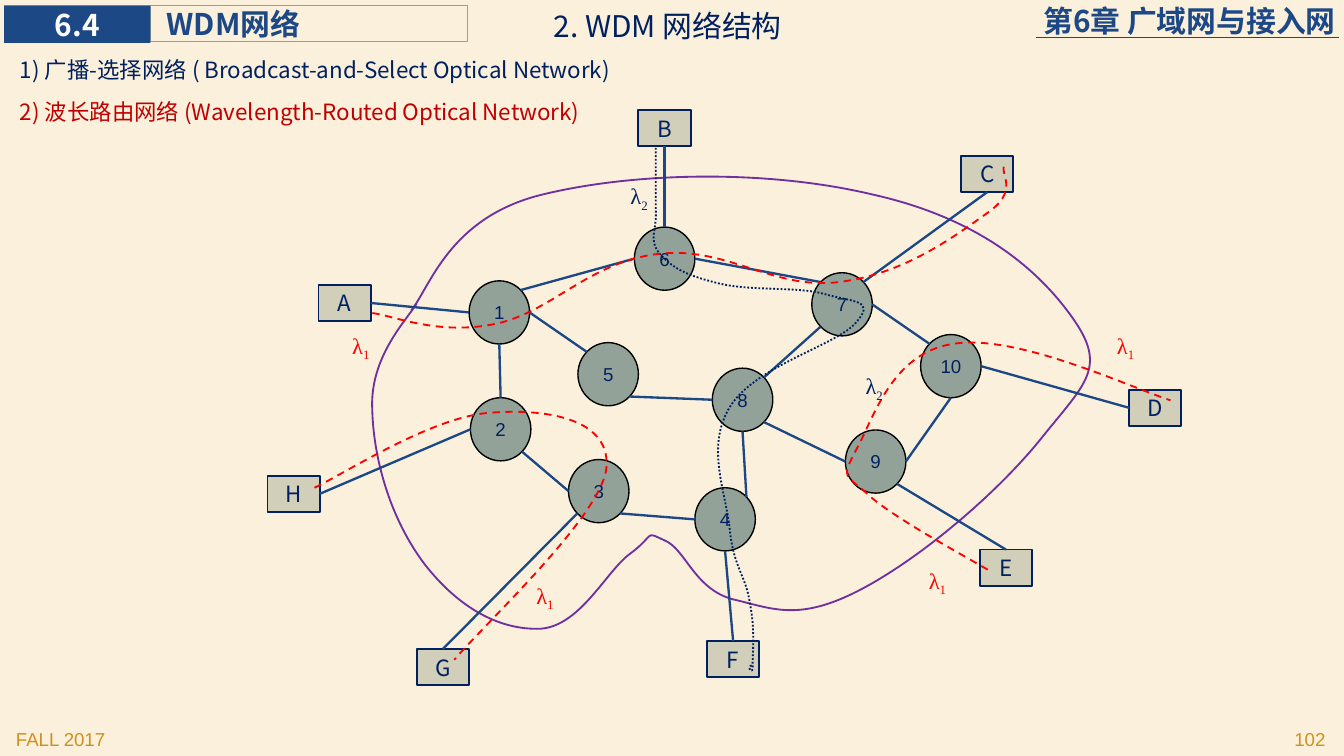
from math import cos, radians, sin

from lxml import etree
from pptx import Presentation
from pptx import util as u
from pptx.dml.color import RGBColor
from pptx.enum import dml, shapes, text
from pptx.oxml import ns

CREAM = RGBColor(0xFA, 0xF0, 0xDB)
WHITE = RGBColor(0xFF, 0xFF, 0xFF)
BLACK = RGBColor(0, 0, 0)
BLUE = RGBColor(0x1C, 0x48, 0x85)
NAVY = RGBColor(0x00, 0x20, 0x60)
SAGE = RGBColor(0x93, 0xA2, 0x99)
SAND = RGBColor(0xD1, 0xCE, 0xB9)
GOLD = RGBColor(0xCD, 0x92, 0x1B)
CRIMSON = RGBColor(0xC0, 0, 0)
RED = RGBColor(0xFF, 0, 0)
PURPLE = RGBColor(0x70, 0x30, 0xA0)

SANS = "Noto Sans CJK SC"
LEFT, MID, RIGHT = text.PP_ALIGN.LEFT, text.PP_ALIGN.CENTER, text.PP_ALIGN.RIGHT
TOP, MIDDLE = text.MSO_ANCHOR.TOP, text.MSO_ANCHOR.MIDDLE
RECT, OVAL = shapes.MSO_SHAPE.RECTANGLE, shapes.MSO_SHAPE.OVAL
DASH, DOT = dml.MSO_LINE.DASH, dml.MSO_LINE.ROUND_DOT
PAD = (0.1, 0.05, 0.1, 0.05)
NONE = (0, 0, 0, 0)

NODE = (0.45, 0.47)
BOX = (0.39, 0.27)
NODES = {"1": (3.49, 2.09), "2": (3.5, 2.96), "3": (4.23, 3.42), "4": (5.17, 3.63),
         "5": (4.3, 2.55), "6": (4.72, 1.69), "7": (6.04, 2.03), "8": (5.3, 2.74),
         "9": (6.29, 3.2), "10": (6.85, 2.49)}
BOXES = {"A": (2.37, 2.12), "B": (4.75, 0.82), "C": (7.15, 1.16), "D": (8.4, 2.9),
         "E": (7.29, 4.09), "F": (5.26, 4.77), "G": (3.1, 4.83), "H": (1.99, 3.54)}
ANGLE = {"E": 0, "SE": 45, "S": 90, "SW": 135, "W": 180, "NW": 225, "N": 270, "NE": 315}

# Node, side, node, side
LINKS = [("1", "S", "2", "N"), ("3", "W", "2", "SE"), ("4", "W", "3", "SE"),
         ("5", "NW", "1", "E"), ("5", "SE", "8", "W"), ("9", "W", "8", "SE"),
         ("9", "E", "10", "S"), ("7", "E", "10", "NW"), ("7", "NW", "6", "E"),
         ("1", "NE", "6", "W"), ("7", "SW", "8", "NE"), ("4", "NE", "8", "S")]
# Node, side, box, connection site of the box
ACCESS = [("3", "SW", "G", 0), ("1", "W", "A", 3), ("2", "W", "H", 3), ("4", "S", "F", 0),
          ("9", "SE", "E", 0), ("10", "E", "D", 1), ("7", "NE", "C", 2), ("6", "N", "B", 2)]

# Start point, then two control points and an end point per segment
CLOUD = [(3.1, 2.26), (3.02, 2.39), (2.75, 2.66), (2.77, 3.05),
         (2.78, 3.43), (2.91, 3.87), (3.16, 4.2), (3.41, 4.52), (3.71, 4.69), (4.02, 4.68),
         (4.32, 4.66), (4.51, 4.25), (4.69, 4.12), (4.88, 3.98), (4.79, 3.95), (4.94, 4.02),
         (5.1, 4.08), (5.16, 4.38), (5.45, 4.46), (5.75, 4.53), (5.94, 4.63), (6.4, 4.39),
         (6.86, 4.15), (7.43, 3.66), (7.75, 3.26), (8.07, 2.86), (8.24, 2.74), (7.99, 2.38),
         (7.74, 2.02), (7.3, 1.63), (6.5, 1.45), (5.71, 1.26), (4.72, 1.28), (4.03, 1.45),
         (3.34, 1.62), (3.2, 2.14), (3.06, 2.31)]
PATH_HG = [(2.34, 3.63), (2.59, 3.51), (3.23, 3.09), (3.67, 3.07),
           (4.1, 3.04), (4.56, 3.13), (4.51, 3.5), (4.45, 3.86), (3.62, 4.63), (3.38, 4.91)]
PATH_BF = [(4.88, 1.1), (4.88, 1.18), (4.88, 1.4), (4.88, 1.56),
           (4.89, 1.72), (4.82, 1.78), (4.91, 1.89), (5.01, 2), (5.11, 2.05), (5.35, 2.11),
           (5.6, 2.17), (5.94, 2.13), (6.14, 2.19), (6.35, 2.25), (6.52, 2.23), (6.37, 2.4),
           (6.23, 2.57), (5.62, 2.72), (5.43, 3.03), (5.25, 3.33), (5.4, 3.65), (5.43, 3.94),
           (5.46, 4.23), (5.55, 4.28), (5.58, 4.49), (5.62, 4.69), (5.6, 4.85), (5.6, 4.95),
           (5.61, 5.04), (5.54, 4.96), (5.6, 4.95)]
PATH_AC = [(2.77, 2.33), (2.93, 2.35), (3.26, 2.5), (3.69, 2.41),
           (4.11, 2.32), (4.38, 1.95), (4.9, 1.89), (5.41, 1.83), (5.75, 2.16), (6.24, 2.1),
           (6.73, 2.04), (7.1, 1.76), (7.34, 1.59), (7.59, 1.42), (7.44, 1.3), (7.47, 1.23)]
PATH_ED = [(7.35, 4.24), (7.18, 4.14), (6.68, 3.87), (6.48, 3.7),
           (6.29, 3.52), (6.25, 3.58), (6.37, 3.35), (6.5, 3.12), (6.63, 2.63), (7.09, 2.56),
           (7.56, 2.48), (8.4, 2.88), (8.71, 2.98)]
ROUTES = [(PATH_HG, RED, DASH), (PATH_BF, NAVY, DOT), (PATH_AC, RED, DASH), (PATH_ED, RED, DASH)]
LAMBDAS = [(3.88, 4.28, "1"), (4.58, 1.31, "2"), (2.51, 2.42, "1"),
           (8.2, 2.42, "1"), (6.8, 4.17, "1"), (6.33, 2.72, "2")]


def size(n):
    """Turn layout units (2.54 cm each) into a length."""
    return u.Cm(n * 2.54)


def write(shape, words, pt=12, face=SANS, color=NAVY, bold=False, align=LEFT,
          anchor=TOP, pad=PAD, wrap=True, sub=""):
    """Fill a shape with one formatted line; sub is a trailing subscript."""
    frame = shape.text_frame
    frame.word_wrap = wrap
    frame.auto_size = text.MSO_AUTO_SIZE.NONE
    frame.vertical_anchor = anchor
    (frame.margin_left, frame.margin_top,
     frame.margin_right, frame.margin_bottom) = map(size, pad)
    par = frame.paragraphs[0]
    par.alignment = align
    for part in filter(None, (words, sub)):
        run = par.add_run()
        run.text = part
        font = run.font
        font.size, font.name, font.bold = u.Pt(pt), face, bold
        font.color.rgb = color
        props = run._r.get_or_add_rPr()
        etree.SubElement(props, ns.qn("a:ea"), typeface=face)
        if part == sub:
            props.set("baseline", "-25000")


def label(slide, spot, words, **form):
    write(slide.shapes.add_textbox(*map(size, spot)), words, **form)


def style(shape, fill, line, width):
    shape.shadow.inherit = False
    if fill is None:
        shape.fill.background()
    else:
        shape.fill.solid()
        shape.fill.fore_color.rgb = fill
    if line is None:
        shape.line.fill.background()
    else:
        shape.line.color.rgb = line
        shape.line.width = u.Pt(width)


def block(slide, kind, spot, words, fill=None, line=None, width=0.75, **form):
    shape = slide.shapes.add_shape(kind, *map(size, spot))
    style(shape, fill, line, width)
    write(shape, words, anchor=MIDDLE, **form)
    return shape


def link(slide, start, end, width=1.25):
    line = slide.shapes.add_connector(shapes.MSO_CONNECTOR.STRAIGHT,
                                      *map(size, (*start, *end)))
    line.line.color.rgb = BLUE
    line.line.width = u.Pt(width)
    etree.SubElement(line._element.spPr, ns.qn("a:effectLst"))
    return line


def rim(node, side):
    """Give the point on a node's circle at a compass side."""
    (x, y), (w, h), turn = NODES[node], NODE, radians(ANGLE[side])
    return x + w / 2 * (1 + cos(turn)), y + h / 2 * (1 + sin(turn))


def curve(slide, points, color, dash=None):
    """Draw an open Bezier curve, making each three line steps one cubic."""
    first, *rest = [(size(x), size(y)) for x, y in points]
    pen = slide.shapes.build_freeform(*first)
    pen.add_line_segments(rest, close=False)
    shape = pen.convert_to_shape()
    style(shape, None, color, 1)
    if dash:
        shape.line.dash_style = dash
    steps = list(shape._element.iter(ns.qn("a:lnTo")))
    for i in range(0, len(steps), 3):
        cubic = etree.SubElement(steps[i].getparent(), ns.qn("a:cubicBezTo"))
        for step in steps[i:i + 3]:
            cubic.append(step[0])
            step.getparent().remove(step)


def header(slide):
    title = slide.shapes.title
    title.left, title.top, title.width, title.height = map(size, (4.02, 0.01, 3.38, 0.37))
    write(title, "2. WDM 网络结构", pt=16)
    head = dict(pt=16, bold=True)
    label(slide, (6.18, 0.02, 3.76, 0.27), "第6章 广域网与接入网", color=BLUE,
          align=RIGHT, anchor=MIDDLE, pad=NONE, **head)
    link(slide, (7.71, 0.28), (9.96, 0.28), 0.5)
    block(slide, RECT, (1.12, 0.04, 2.36, 0.27), "WDM网络", line=SAGE, color=BLUE,
          pad=(0.12, 0, 0, 0), **head)
    block(slide, RECT, (0.03, 0.04, 1.09, 0.28), "6.4", fill=BLUE, color=WHITE,
          align=MID, pad=NONE, wrap=False, **head)
    label(slide, (0.05, 0.37, 6.01, 0.3),
          "1) 广播-选择网络 ( Broadcast-and-Select Optical Network)")
    label(slide, (0.05, 0.68, 6.01, 0.3),
          "2) 波长路由网络 (Wavelength-Routed Optical Network)", color=CRIMSON)


def footer(slide):
    foot = dict(pt=10, face="Arial", color=GOLD)
    label(slide, (0.02, 5.37, 2.08, 0.23), "FALL 2017", **foot)
    label(slide, (7.88, 5.37, 2.08, 0.23), "102", align=RIGHT, **foot)


def network(slide):
    for name, spot in NODES.items():
        block(slide, OVAL, spot + NODE, name, fill=SAGE, line=BLACK, pt=10,
              face="Arial", align=MID, pad=NONE, wrap=False)
    for here, side, there, far in LINKS:
        link(slide, rim(here, side), rim(there, far))
    boxes = {name: block(slide, RECT, spot + BOX, name, fill=SAND, line=NAVY, width=1,
                         align=MID, pad=NONE)
             for name, spot in BOXES.items()}
    curve(slide, CLOUD, PURPLE)
    for node, side, box, site in ACCESS:
        link(slide, rim(node, side), BOXES[box]).end_connect(boxes[box], site)


def routes(slide):
    for points, color, dash in ROUTES:
        curve(slide, points, color, dash)
    for x, y, sub in LAMBDAS:
        label(slide, (x, y, 0.35, 0.3), "λ", sub=sub, face="Times New Roman",
              color=RED if sub == "1" else NAVY, align=MID)


def main():
    deck = Presentation()
    deck.slide_width, deck.slide_height = u.Cm(25.4), u.Cm(14.29)
    slide = deck.slides.add_slide(deck.slide_layouts[5])
    slide.background.fill.solid()
    slide.background.fill.fore_color.rgb = CREAM
    header(slide)
    footer(slide)
    network(slide)
    routes(slide)
    deck.save("out.pptx")


if __name__ == "__main__":
    main()
